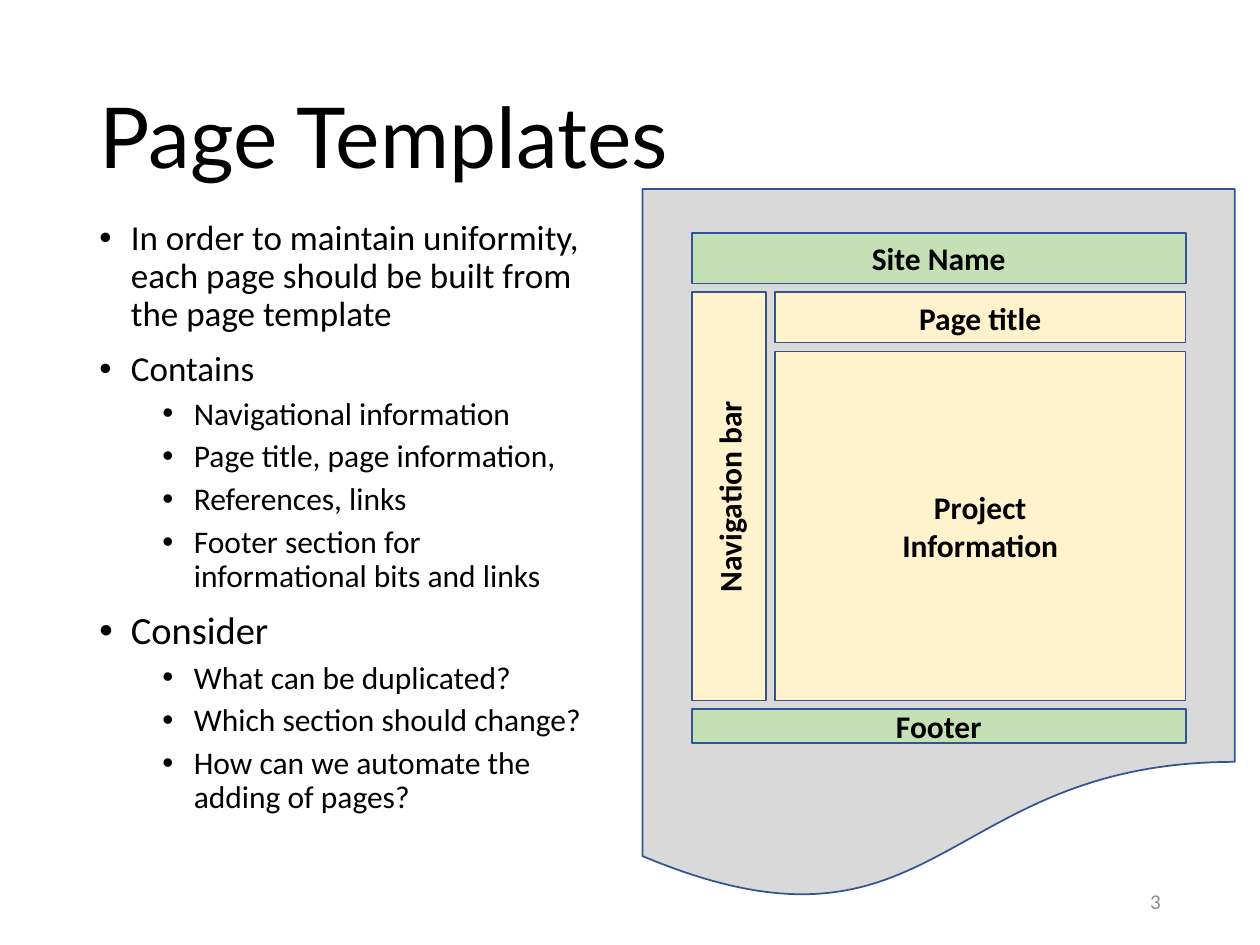
from lxml import etree
from pptx import Presentation
from pptx.dml.color import RGBColor
from pptx.enum.shapes import MSO_SHAPE
from pptx.enum.text import MSO_ANCHOR, PP_ALIGN
from pptx.oxml.ns import qn
from pptx.util import Inches, Pt

RECT, DOCUMENT = MSO_SHAPE.RECTANGLE, MSO_SHAPE.FLOWCHART_DOCUMENT
TOP, MIDDLE = MSO_ANCHOR.TOP, MSO_ANCHOR.MIDDLE
LEFT, CENTER, RIGHT = PP_ALIGN.LEFT, PP_ALIGN.CENTER, PP_ALIGN.RIGHT
BLACK, GRAY, PAPER = "000000", "8C8C8C", "D9D9D9"
GREEN, CREAM, BLUE = "C5E0B4", "FFF2CC", "325491"

# Text, level, size
BULLETS = [
    ("In order to maintain uniformity, each page should be built from the page template", 0, 20),
    ("Contains", 0, 20),
    ("Navigational information", 1, 18),
    ("Page title, page information,", 1, 18),
    ("References, links", 1, 18),
    ("Footer section for informational bits and links", 1, 18),
    ("Consider", 0, 22),
    ("What can be duplicated?", 1, 18),
    ("Which section should change?", 1, 18),
    ("How can we automate the adding of pages?", 1, 18),
]


def rgb(hex_color):
    """Turn a hex string into a colour."""
    return RGBColor.from_string(hex_color)


def write(p, text, size=18, font="Calibri", color=BLACK, bold=False,
          align=LEFT, spacing=None, before=None):
    """Put one formatted run into a paragraph."""
    p.alignment, p.line_spacing = align, spacing
    if before is not None:
        p.space_before = Pt(before)
    r = p.add_run()
    r.text = text
    r.font.size, r.font.name, r.font.bold = Pt(size), font, bold
    r.font.color.rgb = rgb(color)


def add_bullet(p, level):
    """Give a paragraph a hanging bullet for its level."""
    p.level = level
    pPr = p._p.get_or_add_pPr()
    pPr.set("marL", str(Inches(0.25 + 0.5 * level)))
    pPr.set("indent", str(Inches(-0.25)))
    etree.SubElement(pPr, qn("a:buFont")).set("typeface", "Arial")
    etree.SubElement(pPr, qn("a:buChar")).set("char", "•")


def add_text_frame(s, box, anchor):
    """Add a wrapping text box and return its frame."""
    tf = s.shapes.add_textbox(*map(Inches, box)).text_frame
    tf.word_wrap, tf.vertical_anchor = True, anchor
    return tf


def add_panel(s, box, fill, kind=RECT, lines=(), vertical=False):
    """Add an outlined shape with bold centred lines of text."""
    sp = s.shapes.add_shape(kind, *map(Inches, box))
    sp.shadow.inherit = False
    sp.fill.solid()
    sp.fill.fore_color.rgb = rgb(fill)
    sp.line.color.rgb, sp.line.width = rgb(BLUE), Pt(1)
    tf = sp.text_frame
    tf.vertical_anchor = MIDDLE
    if vertical:
        tf._txBody.bodyPr.set("vert", "vert270")
    for i, line in enumerate(lines):
        p = tf.add_paragraph() if i else tf.paragraphs[0]
        write(p, line, bold=True, align=CENTER)


def add_bullets(s, box):
    """Fill a box with the two-level bullet list."""
    tf = add_text_frame(s, box, TOP)
    for i, (text, level, size) in enumerate(BULLETS):
        p = tf.add_paragraph() if i else tf.paragraphs[0]
        write(p, text, size=size, spacing=0.9, before=5 if level else 10)
        add_bullet(p, level)


def add_template(s, box, gap=0.07, bar=0.4, nav=0.59, foot=0.27):
    """Lay out the page template's regions inside a box."""
    x, y, w, h = box
    main_x, main_w = x + nav + gap, w - nav - gap
    title_y = y + bar + gap
    info_y = title_y + bar + gap
    foot_y = y + h - foot
    add_panel(s, (x, y, w, bar), GREEN, lines=["Site Name"])
    add_panel(s, (x, title_y, nav, foot_y - gap - title_y), CREAM,
              lines=["Navigation bar"], vertical=True)
    add_panel(s, (main_x, info_y, main_w, foot_y - gap - info_y), CREAM,
              lines=["Project", "Information"])
    add_panel(s, (main_x, title_y, main_w, bar), CREAM, lines=["Page title"])
    add_panel(s, (x, foot_y, w, foot), GREEN, lines=["Footer"])


def build():
    """Build and save the slide."""
    prs = Presentation()
    prs.slide_width, prs.slide_height = Inches(10), Inches(7.5)
    s = prs.slides.add_slide(prs.slide_layouts[6])
    title = add_text_frame(s, (0.69, 0.4, 8.62, 1.45), MIDDLE)
    write(title.paragraphs[0], "Page Templates", size=48, font="Lato", spacing=0.9)
    add_bullets(s, (0.69, 1.7, 4.09, 4.76))
    number = add_text_frame(s, (7.06, 6.95, 2.25, 0.4), MIDDLE)
    write(number.paragraphs[0], "3", size=12, color=GRAY, align=RIGHT)
    add_panel(s, (5.1, 1.5, 4.7, 5.67), PAPER, kind=DOCUMENT)
    add_template(s, (5.49, 1.85, 3.92, 4.05))
    prs.save("out.pptx")


build()
